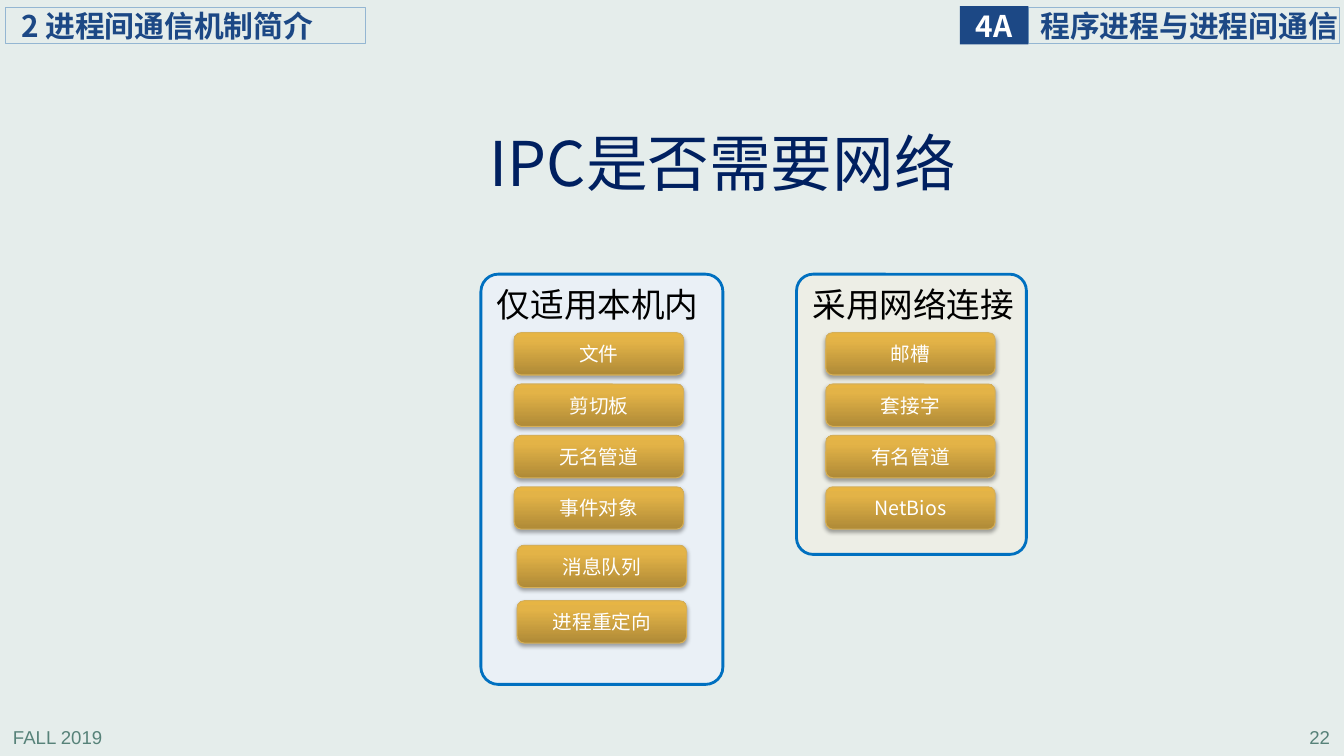
from copy import deepcopy
from dataclasses import dataclass

from pptx import Presentation
from pptx import util as u
from pptx.dml.color import RGBColor
from pptx.enum import shapes, text
from pptx.oxml import parse_xml
from pptx.oxml.ns import nsdecls, qn


@dataclass(frozen=True)
class Theme:
    background: str = "E5EDEB"
    footer: str = "578279"
    header: str = "1C4885"
    header_line: str = "94B6D2"
    title: str = "002060"
    panel_line: str = "0070C0"
    local_panel: str = "EAF0F6"
    network_panel: str = "EDEEE6"
    button_line: str = "D6AF57"
    button_stops: tuple = ((0, "AF8A37"), (0.8, "E3B347"), (1, "E7B544"))
    black: str = "000000"
    white: str = "FFFFFF"
    font: str = "Noto Sans CJK SC"
    footer_font: str = "Arial"
    title_size: float = 44
    panel_size: float = 24
    header_size: float = 21.3
    button_size: float = 14
    footer_size: float = 13.3


THEME = Theme()
WIDTH, HEIGHT = 13.33, 7.5
BUTTON_WIDTH, BUTTON_HEIGHT = 1.68, 0.42
ALIGN = text.PP_ALIGN
PRESET = shapes.MSO_SHAPE


def inches(*lengths):
    return [u.Inches(length) for length in lengths]


def write(shape, words, size, color, font=THEME.font, bold=False, align=ALIGN.LEFT,
          anchor=text.MSO_ANCHOR.MIDDLE, insets=(0.1, 0.05, 0.1, 0.05), wrap=True, spacing=None):
    frame = shape.text_frame
    frame.word_wrap = wrap
    frame.vertical_anchor = anchor
    (frame.margin_left, frame.margin_top,
     frame.margin_right, frame.margin_bottom) = inches(*insets)
    para = frame.paragraphs[0]
    para.alignment = align
    para.line_spacing = spacing
    span = para.add_run()
    span.text = words
    span.font.size = u.Pt(size)
    span.font.bold = bold
    span.font.name = font
    span.font.color.rgb = RGBColor.from_string(color)
    span.font._element.append(parse_xml(f'<a:ea {nsdecls("a")} typeface="{font}"/>'))


def add_box(page, preset, box, fill=None, line=None, weight=0.75):
    shape = page.shapes.add_shape(preset, *inches(*box))
    shape.shadow.inherit = False
    if fill:
        shape.fill.solid()
        shape.fill.fore_color.rgb = RGBColor.from_string(fill)
    else:
        shape.fill.background()
    if line:
        shape.line.color.rgb = RGBColor.from_string(line)
        shape.line.width = u.Pt(weight)
    else:
        shape.line.fill.background()
    return shape


def add_header(page, box, words, inset):
    shape = add_box(page, PRESET.RECTANGLE, box, line=THEME.header_line)
    write(shape, words, THEME.header_size, THEME.header, bold=True, insets=(inset, 0, 0, 0), wrap=False)


def add_chapter(page, box, number, words):
    left, top, width, height = box
    tab = 0.68
    add_header(page, (left + tab, top + 0.01, width - tab, height - 0.02), words, 0.12)
    shape = add_box(page, PRESET.RECTANGLE, (left, top, tab, height), fill=THEME.header)
    write(shape, number, THEME.header_size, THEME.white, bold=True,
          align=ALIGN.CENTER, insets=(0, 0, 0, 0), wrap=False)


def add_footer(page, left, words, align):
    shape = page.shapes.add_textbox(*inches(left, HEIGHT - 0.34, 2.78, 0.31))
    write(shape, words, THEME.footer_size, THEME.footer, font=THEME.footer_font, align=align)


def add_title(page, box, words):
    title = page.shapes.title
    title.left, title.top, title.width, title.height = inches(*box)
    write(title, words, THEME.title_size, THEME.title, align=ALIGN.CENTER,
          insets=(0.08, 0.04, 0.08, 0.04), spacing=0.9)


def add_button(page, left, top, words):
    shape = add_box(page, PRESET.ROUNDED_RECTANGLE, (left, top, BUTTON_WIDTH, BUTTON_HEIGHT),
                    line=THEME.button_line)
    shape.fill.gradient()
    shape.fill.gradient_angle = 90
    properties = shape._element.spPr
    stop_list = properties.find(".//" + qn("a:gsLst"))
    stop_list.append(deepcopy(stop_list[0]))
    for stop, (position, color) in zip(shape.fill.gradient_stops, THEME.button_stops):
        stop.position = position
        stop.color.rgb = RGBColor.from_string(color)
    properties.find(qn("a:effectLst")).append(parse_xml(
        f'<a:outerShdw {nsdecls("a")} blurRad="{u.Pt(3.1)}" dist="{u.Pt(1.8)}" dir="5400000" '
        f'rotWithShape="0"><a:srgbClr val="{THEME.black}"><a:alpha val="35000"/>'
        '</a:srgbClr></a:outerShdw>'))
    write(shape, words, THEME.button_size, THEME.white, align=ALIGN.CENTER)


def add_panel(page, box, fill, heading, button_groups):
    left, top, width, height = box
    panel = add_box(page, PRESET.ROUNDED_RECTANGLE, box, fill, THEME.panel_line, 2)
    panel.adjustments[0] = 0.072
    label = page.shapes.add_textbox(*inches(left + 0.06, top + 0.05, 2.22, 0.5))
    write(label, heading, THEME.panel_size, THEME.black, anchor=text.MSO_ANCHOR.TOP, wrap=False)
    for indent, drop, pitch, names in button_groups:
        for row, name in enumerate(names):
            add_button(page, left + indent, top + drop + row * pitch, name)


def main():
    deck = Presentation()
    deck.slide_width, deck.slide_height = inches(WIDTH, HEIGHT)
    page = deck.slides.add_slide(deck.slide_layouts[5])
    page.background.fill.solid()
    page.background.fill.fore_color.rgb = RGBColor.from_string(THEME.background)

    add_footer(page, 0.03, "FALL 2019", ALIGN.LEFT)
    add_footer(page, 10.51, "22", ALIGN.RIGHT)
    add_chapter(page, (9.52, 0.06, 3.77, 0.38), "4A", "程序进程与进程间通信")
    add_header(page, (0.05, 0.07, 3.58, 0.36), "2 进程间通信机制简介", 0.16)
    add_title(page, (4.62, 1.22, 5.1, 0.87), "IPC是否需要网络")
    add_panel(page, (4.77, 2.72, 2.4, 4.07), THEME.local_panel, "仅适用本机内", [
        (0.33, 0.58, 0.51, ["文件", "剪切板", "无名管道", "事件对象"]),
        (0.36, 2.69, 0.55, ["消息队列", "进程重定向"]),
    ])
    add_panel(page, (7.9, 2.72, 2.28, 2.78), THEME.network_panel, "采用网络连接", [
        (0.29, 0.58, 0.51, ["邮槽", "套接字", "有名管道", "NetBios"]),
    ])
    deck.save("out.pptx")


if __name__ == "__main__":
    main()
